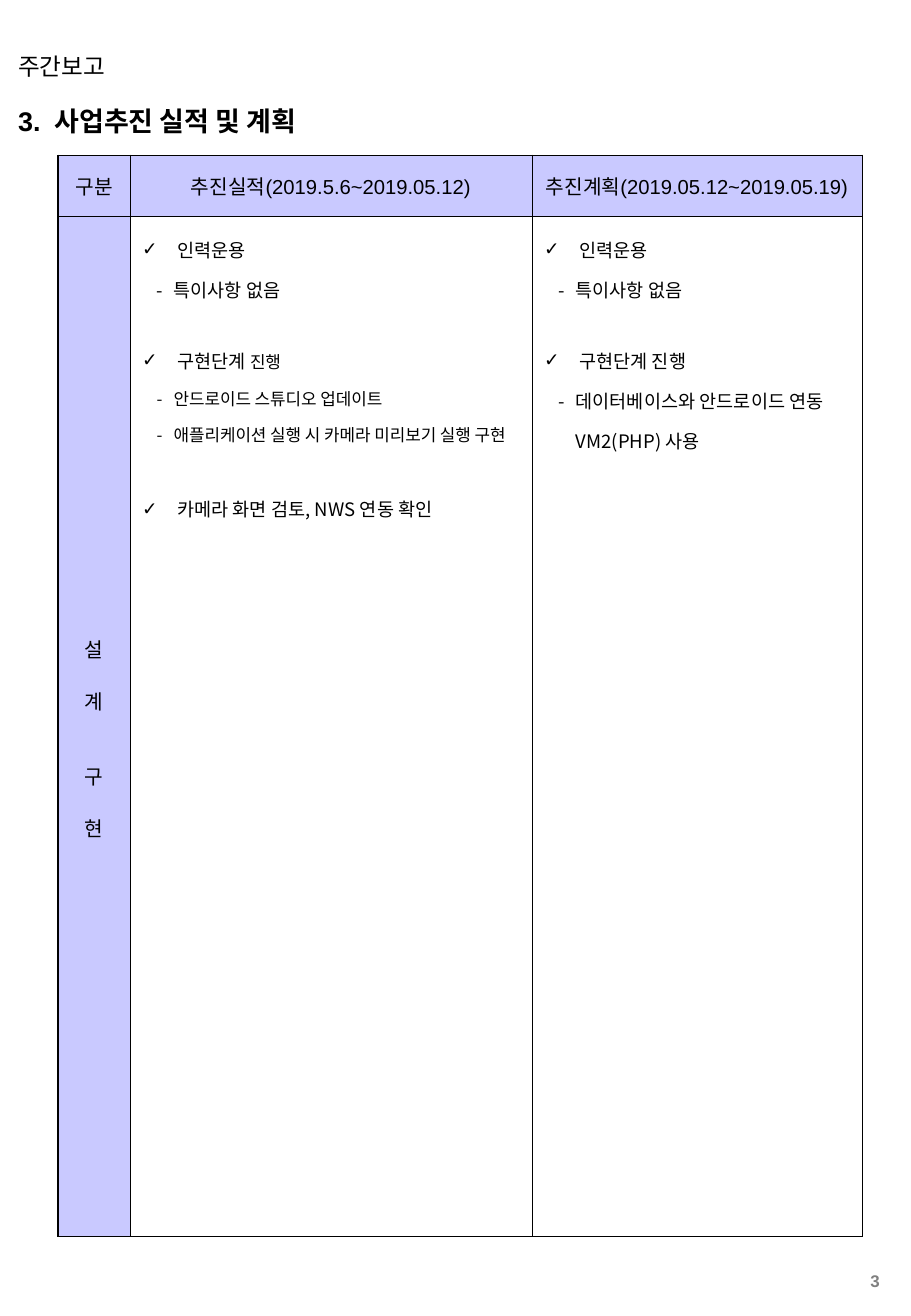
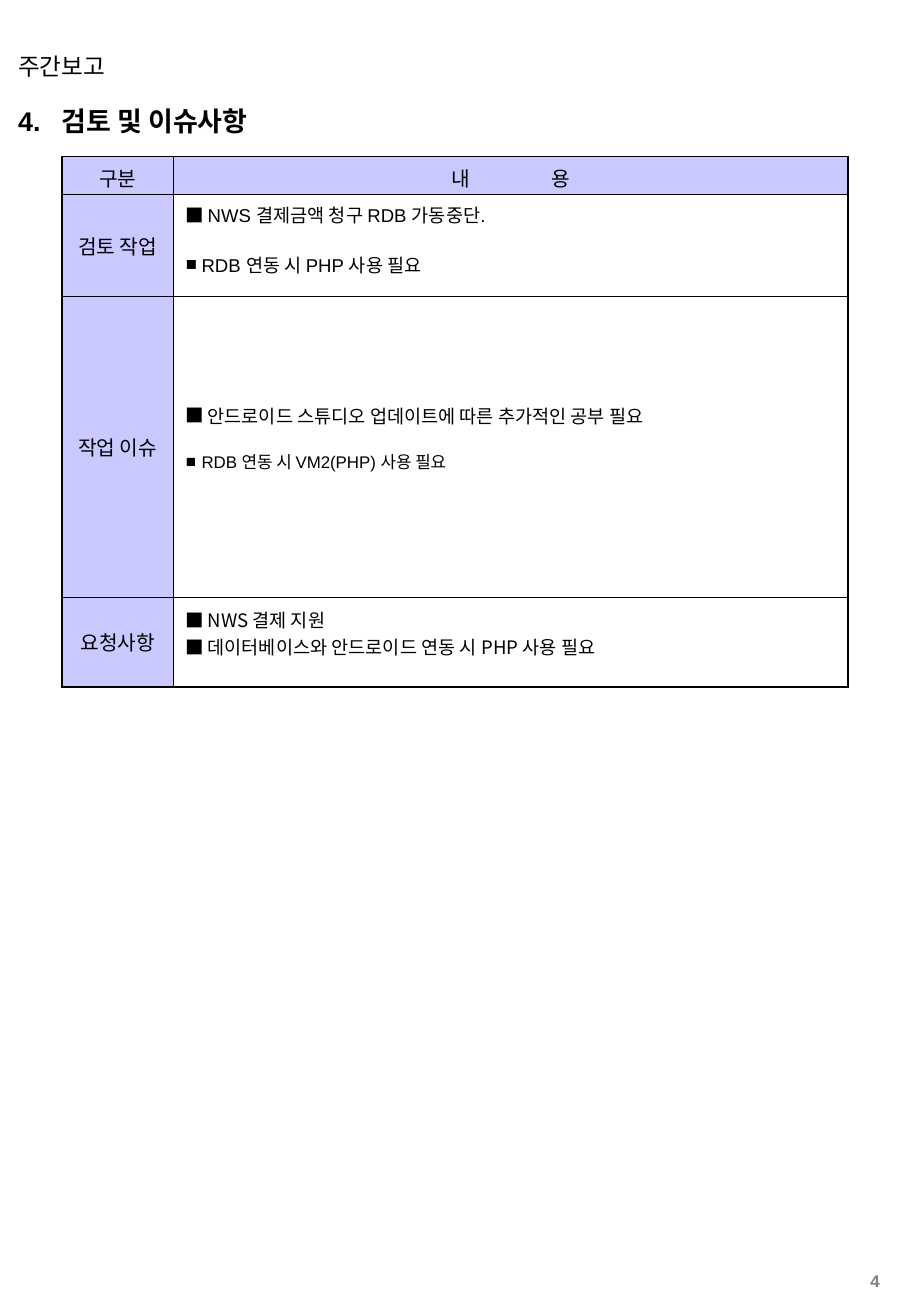
"""Build two weekly report pages: results with plans, and review items with issues."""
from lxml import etree
from pptx import Presentation
from pptx.dml.color import RGBColor
from pptx.enum.text import MSO_ANCHOR as Anchor, MSO_AUTO_SIZE as AutoSize, PP_ALIGN as Align
from pptx.oxml.ns import qn
from pptx.util import Inches, Pt

BLACK = RGBColor(0x00, 0x00, 0x00)
WHITE = RGBColor(0xFF, 0xFF, 0xFF)
GRAY = RGBColor(0x80, 0x80, 0x80)
LAVENDER = RGBColor(0xC9, 0xC9, 0xFF)
SANS, KOREAN = "Arial", "Noto Sans CJK KR"
OUTER, INNER = 1.08, 0.45

# Bullet styles: character, font, text indent and hanging distance in inches.
CHECK = ("✓", SANS, 0.29, 0.29)
DASH = ("-", KOREAN, 0.26, 0.14)
BIG_SQUARE = ("■", KOREAN, 0.18, 0.18)
SMALL_SQUARE = ("■", SANS, 0.13, 0.13)


def line(text, size=11, font=KOREAN, bullet=None, before=0):
    """Describe a paragraph made of one run."""
    return {"runs": [(text, size, font, 0)], "bullet": bullet, "before": before}


def label(text, before=0):
    """Describe a line of a shaded cell."""
    return line(text, 12, SANS, before=before)


PAGES = [
    {
        "number": "3", "heading": ("3.", "사업추진 실적 및 계획"), "heading_tab": 0.3,
        "at": (0.48, 1.28), "columns": [0.59, 3.31, 2.72], "rows": [0.5, 8.4],
        "bottom_line": INNER, "body_anchor": Anchor.TOP, "spacing": 1.5,
        "cells": [
            [[label("구분")], [label("추진실적(2019.5.6~2019.05.12)")],
             [label("추진계획(2019.05.12~2019.05.19)")]],
            [[label("설"), label("계", 13.4), label("구", 27), label("현", 13.4)],
             [line("인력운용", bullet=CHECK),
              line("특이사항 없음", bullet=DASH),
              {"runs": [("구현단계 ", 11, KOREAN, 0), ("진행", 10, KOREAN, 0)],
               "bullet": CHECK, "before": 18},
              line("안드로이드 스튜디오 업데이트", 10, bullet=DASH),
              line("애플리케이션 실행 시 카메라 미리보기 실행 구현", 10, bullet=DASH),
              line("카메라 화면 검토, NWS 연동 확인", bullet=CHECK, before=21)],
             [line("인력운용", bullet=CHECK),
              line("특이사항 없음", bullet=DASH),
              line("구현단계 진행", bullet=CHECK, before=18),
              line("데이터베이스와 안드로이드 연동 VM2(PHP) 사용", bullet=DASH)]],
        ],
        "margins": {(1, 0): (0.25, 0.05)},
    },
    {
        "number": "4", "heading": ("4.", "검토 및 이슈사항"), "heading_tab": 0.36,
        "at": (0.51, 1.29), "columns": [0.92, 5.55], "rows": [0.31, 0.84, 2.48, 0.74],
        "bottom_line": OUTER, "body_anchor": Anchor.MIDDLE, "spacing": 1.0,
        "cells": [
            [[label("구분")],
             [{"runs": [("내", 12, SANS, 0), (" ", 12, SANS, 46), ("용", 12, SANS, 0)],
               "bullet": None, "before": 0}]],
            [[label("검토 작업")],
             [line("NWS 결제금액 청구 RDB 가동중단.", 11, SANS, BIG_SQUARE),
              line("RDB 연동 시 PHP 사용 필요", 11, SANS, SMALL_SQUARE, 13.8)]],
            [[label("작업 이슈")],
             [line("안드로이드 스튜디오 업데이트에 따른 추가적인 공부 필요", 11, SANS, BIG_SQUARE),
              line("RDB 연동 시 VM2(PHP) 사용 필요", 10, SANS, SMALL_SQUARE, 12.5)]],
            [[label("요청사항")],
             [line("NWS 결제 지원", bullet=BIG_SQUARE),
              line("데이터베이스와 안드로이드 연동 시 PHP 사용 필요", bullet=BIG_SQUARE)]],
        ],
        "margins": {(1, 1): (0.05, 0.15), (2, 1): (0.05, 0.2), (3, 1): (0.05, 0.2)},
    },
]


def add_run(para, text, size, font, color=BLACK, bold=False, tracking=0):
    span = para.add_run()
    span.text = text
    span.font.size, span.font.name, span.font.bold = Pt(size), font, bold
    span.font.color.rgb = color
    if tracking:
        span.font._element.set("spc", str(tracking * 100))


def add_bullet(para, bullet):
    character, font, indent, hanging = bullet
    properties = para._p.get_or_add_pPr()
    properties.set("marL", str(Inches(indent)))
    properties.set("indent", str(-Inches(hanging)))
    etree.SubElement(properties, qn("a:buFont"), typeface=font)
    etree.SubElement(properties, qn("a:buChar"), char=character)


def add_tab(para, position):
    tabs = etree.SubElement(para._p.get_or_add_pPr(), qn("a:tabLst"))
    etree.SubElement(tabs, qn("a:tab"), pos=str(Inches(position)), algn="l")


def set_borders(cell, widths):
    properties = cell._tc.get_or_add_tcPr()
    for index, (side, width) in enumerate(widths.items()):
        border = etree.Element(qn(f"a:{side}"), w=str(Pt(width)))
        fill = etree.SubElement(border, qn("a:solidFill"))
        etree.SubElement(fill, qn("a:srgbClr"), val=str(BLACK))
        properties.insert(index, border)


def fill_cell(cell, lines, shaded, anchor, spacing, margins):
    cell.fill.solid()
    cell.fill.fore_color.rgb = LAVENDER if shaded else WHITE
    cell.vertical_anchor = Anchor.MIDDLE if shaded else anchor
    cell.margin_left = cell.margin_right = Inches(0.1)
    cell.margin_top, cell.margin_bottom = map(Inches, margins)
    for index, content in enumerate(lines):
        frame = cell.text_frame
        para = frame.add_paragraph() if index else frame.paragraphs[0]
        if content["bullet"]:
            add_bullet(para, content["bullet"])
        para.alignment = Align.CENTER if shaded else Align.LEFT
        if not shaded:
            para.line_spacing = spacing
        if content["before"]:
            para.space_before = Pt(content["before"])
        for text, size, font, tracking in content["runs"]:
            add_run(para, text, size, font, tracking=tracking)


def add_report_table(slide, page):
    columns, rows = page["columns"], page["rows"]
    left, top = page["at"]
    frame = slide.shapes.add_table(len(rows), len(columns), Inches(left), Inches(top),
                                   Inches(sum(columns)), Inches(sum(rows)))
    table = frame.table
    table.first_row = table.horz_banding = False
    for column, width in zip(table.columns, columns):
        column.width = Inches(width)
    for row, height in zip(table.rows, rows):
        row.height = Inches(height)
    for r, row_cells in enumerate(page["cells"]):
        for c, lines in enumerate(row_cells):
            cell = table.cell(r, c)
            fill_cell(cell, lines, r == 0 or c == 0, page["body_anchor"], page["spacing"],
                      page["margins"].get((r, c), (0.05, 0.05)))
            set_borders(cell, {
                "lnL": OUTER if c == 0 else INNER,
                "lnR": OUTER if c == len(columns) - 1 else INNER,
                "lnT": OUTER if r == 0 else INNER,
                "lnB": page["bottom_line"] if r == len(rows) - 1 else INNER,
            })


def add_label(slide, place, text, size, color, bold, align):
    box = slide.shapes.add_textbox(*map(Inches, place))
    box.text_frame.word_wrap = True
    para = box.text_frame.paragraphs[0]
    para.alignment = align
    add_run(para, text, size, SANS, color, bold)


def add_heading(slide, page):
    title = slide.shapes.title
    title.left, title.top, title.width, title.height = map(Inches, (0.05, 0.81, 5.36, 0.37))
    frame = title.text_frame
    frame.auto_size, frame.vertical_anchor, frame.word_wrap = AutoSize.NONE, Anchor.TOP, True
    para = frame.paragraphs[0]
    add_tab(para, page["heading_tab"])
    para.alignment = Align.LEFT
    add_run(para, "\t".join(page["heading"]), 16, SANS, bold=True)


def main():
    deck = Presentation()
    deck.slide_width, deck.slide_height = Inches(7.5), Inches(10.84)
    for page in PAGES:
        slide = deck.slides.add_slide(deck.slide_layouts[5])
        add_label(slide, (6.78, 10.42, 0.56, 0.24), page["number"], 10, GRAY, True, Align.RIGHT)
        add_label(slide, (0.05, 0.38, 5.95, 0.34), "주간보고", 14, BLACK, False, Align.LEFT)
        add_report_table(slide, page)
        add_heading(slide, page)
    deck.save("out.pptx")


if __name__ == "__main__":
    main()
